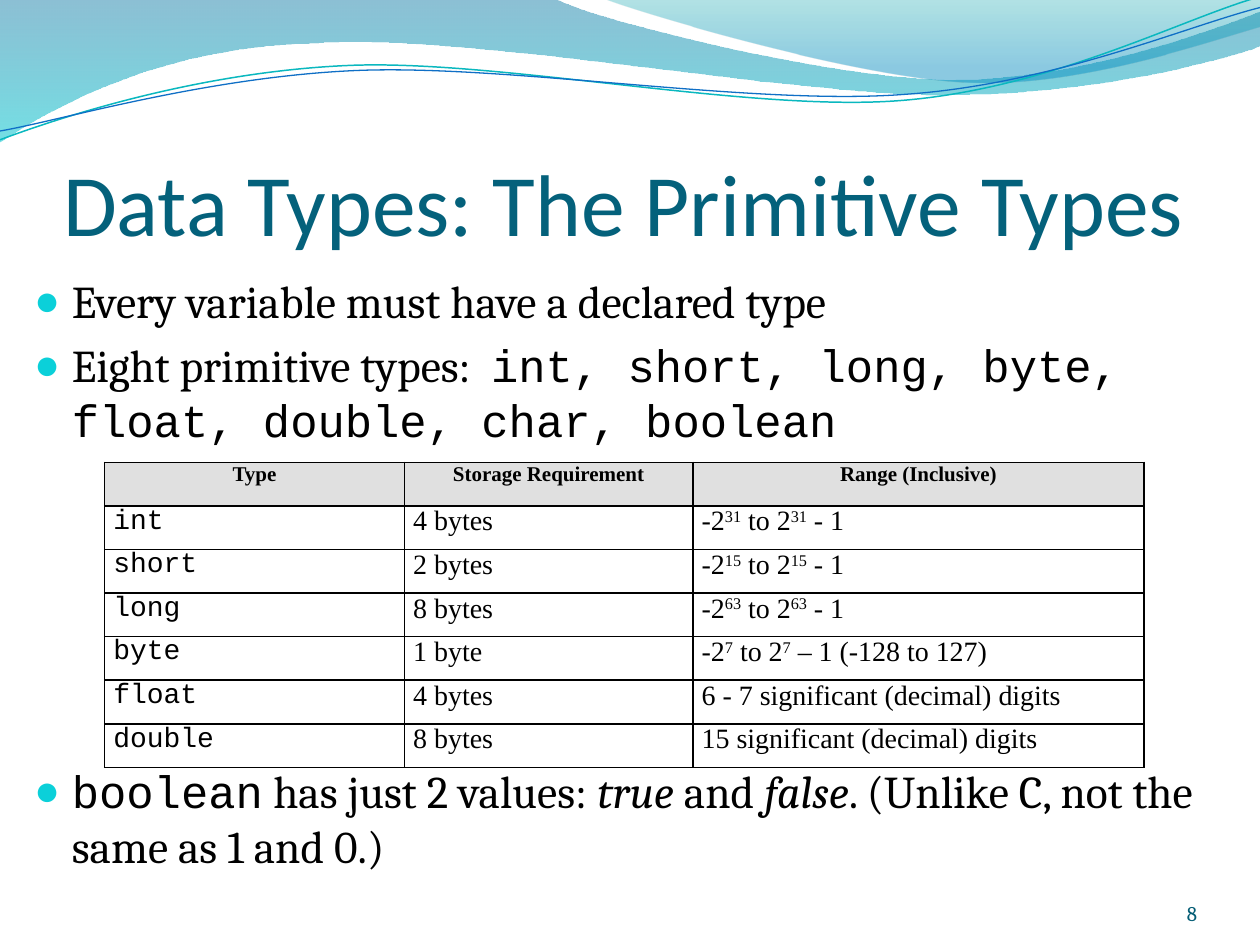
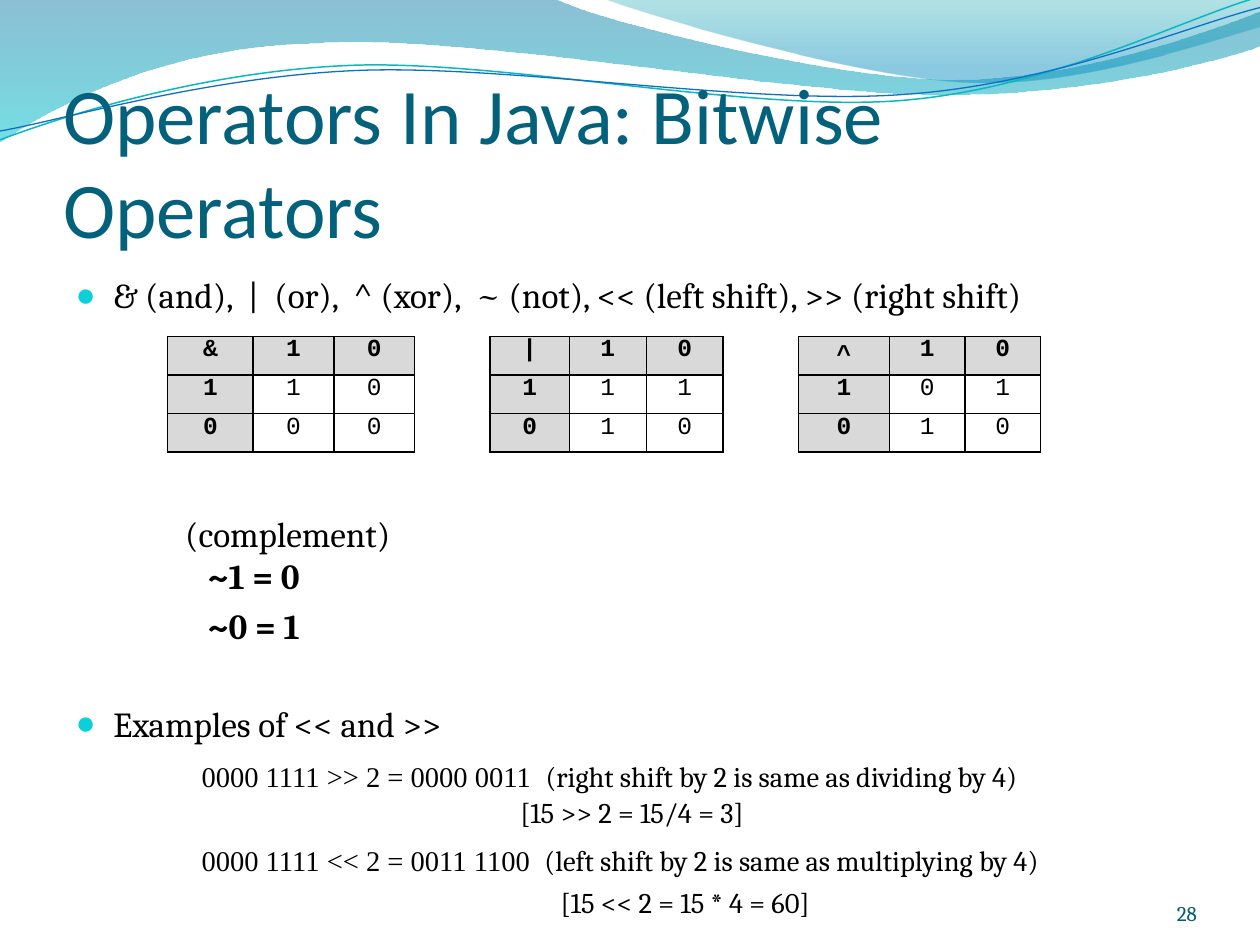
from pptx import Presentation
from pptx.dml.color import RGBColor
from pptx.enum.text import MSO_ANCHOR, MSO_AUTO_SIZE, PP_ALIGN
from pptx.oxml import parse_xml
from pptx.oxml.ns import nsdecls
from pptx.util import Inches, Pt

TOP, MIDDLE, BOTTOM = MSO_ANCHOR.TOP, MSO_ANCHOR.MIDDLE, MSO_ANCHOR.BOTTOM
LEFT, CENTER, RIGHT = PP_ALIGN.LEFT, PP_ALIGN.CENTER, PP_ALIGN.RIGHT
NO_FIT = MSO_AUTO_SIZE.NONE

# Shared colours and fonts
BLACK = RGBColor(0x00, 0x00, 0x00)
TITLE_BLUE = RGBColor(0x04, 0x61, 0x7B)
NUMBER_BLUE = RGBColor(0x04, 0x5D, 0x75)
BULLET_CYAN = RGBColor(0x0B, 0xD0, 0xD9)
LINE_TEAL = RGBColor(0x0A, 0xB8, 0xBF)
LINE_BLUE = RGBColor(0x0F, 0x6F, 0xC6)
HEAD_GREY = RGBColor(0xE0, 0xE0, 0xE0)
KEY_GREY = RGBColor(0xD9, 0xD9, 0xD9)
HEADING, BODY, MONO, SERIF = "Calibri", "Cambria", "Courier New", "Times New Roman"

# Waves: start point, then segments of one point (straight) or three (curve)
BANDS = [
    ((0, 0), [
        [(4.4, -0.01)],
        [(4.76, 0.17), (6.64, 0.63), (7.58, 0.63)],
        [(8.53, 0.63), (9.58, 0.26), (10, 0.09)],
        [(10.01, 0.36)],
        [(9.83, 0.44), (8.7, 0.76), (7.46, 0.75)],
        [(6.22, 0.75), (3.82, 0.28), (2.57, 0.34)],
        [(1.29, 0.36), (0.46, 0.83), (-0.01, 1.13)],
        [(0, 0)],
    ], [(0, "0074A1", 45), (100, "00C6CF", 55)]),
    ((4.79, -0.01), [
        [(5.09, 0.11), (6.82, 0.62), (7.69, 0.65)],
        [(8.56, 0.69), (9.61, 0.32), (10, 0.21)],
        [(10, 0)],
        [(4.79, -0.01)],
    ], [(0, "00A1A9", 30), (80, "008BBF", 45)]),
]
WAVE_LINES = [
    ((0, 1.11), [
        [(0.48, 0.93), (1.58, 0.57), (2.77, 0.52)],
        [(3.95, 0.47), (5.93, 0.89), (7.13, 0.8)],
        [(8.33, 0.71), (9.38, 0.15), (9.98, -0.02)],
    ], LINE_TEAL, 0.85),
    ((0, 1.04), [
        [(0.47, 0.96), (1.64, 0.61), (2.83, 0.56)],
        [(4.03, 0.51), (5.97, 0.84), (7.17, 0.75)],
        [(8.36, 0.67), (9.41, 0.21), (10, 0.06)],
    ], LINE_BLUE, 0.75),
]

# Body paragraphs: space before (pt), left indent (None = bullet), size, runs
# A run is text, font, optional style ("b" bold, "i" italic)
TYPES_BODY = [
    (5.2, None, 26, [("Every variable must have a declared type", BODY)]),
    (5.2, None, 26, [
        ("Eight primitive types:  ", BODY),
        ("int, short, long, byte, float, double, char, boolean", MONO)]),
    (181, None, 26, [
        ("boolean", MONO), (" has just 2 values: ", BODY), ("true", BODY, "i"),
        (" and ", BODY), ("false", BODY, "i"),
        (". (Unlike C, not the same as 1 and 0.)", BODY)]),
]
BITWISE_BODY = [
    (4, None, 20.1, [
        ("& (and),  |  (or),  ^ (xor),  ~ (not), << (left shift), >> (right shift)", BODY)]),
    (112.5, 0.87, 20.1, [("(complement)", BODY)]),
    (0, 1.05, 20.1, [("~1 = 0", BODY, "b")]),
    (4, 1.05, 20.1, [("~0 = 1", BODY, "b")]),
    (32, None, 20.1, [("Examples of << and >>", BODY)]),
    (8.5, 1, 16.3, [
        ("0000 1111 >> 2 = 0000 0011  ", SERIF),
        ("(right shift by 2 is same as dividing by 4)", BODY)]),
    (1, 3.53, 16.3, [("[15 >> 2 = 15/4 = 3]", BODY)]),
    (8, 1, 16.3, [
        ("0000 1111 << 2 = 0011 1100  ", SERIF),
        ("(left shift by 2 is same as multiplying by 4)", BODY)]),
    (4, 3.85, 16.3, [("[15 << 2 = 15 * 4 = 60]", BODY)]),
]

# Table of types: text between bars is raised
TYPES = [
    ("Type", "Storage Requirement", "Range (Inclusive)"),
    ("int", "4 bytes", "-2|31| to 2|31| - 1"),
    ("short", "2 bytes", "-2|15| to 2|15| - 1"),
    ("long", "8 bytes", "-2|63| to 2|63| - 1"),
    ("byte", "1 byte", "-2|7| to 2|7| – 1 (-128 to 127)"),
    ("float", "4 bytes", "6 - 7 significant (decimal) digits"),
    ("double", "8 bytes", "15 significant (decimal) digits"),
]
TYPE_COLS = [2.38, 2.29, 3.58]

# Truth tables: operator and its results for the inputs 1 and 0
OPERATORS = [("&", ["10", "00"]), ("|", ["11", "10"]), ("^", ["01", "10"])]
INPUTS = "10"
TRUTH_COLS = [0.68, 0.64, 0.64, 0.6, 0.63, 0.61, 0.61, 0.6, 0.72, 0.6, 0.6]


def add_run(p, text, font, size, color=BLACK, style="", raised=False):
    r = p.add_run()
    r.text = text
    r.font.name, r.font.size = font, Pt(size)
    r.font.bold, r.font.italic = "b" in style, "i" in style
    r.font.color.rgb = color
    if raised:
        r.font._element.set("baseline", "30000")


def wave(shapes, start, segments, closed):
    """Outline through the segment ends, whose curved parts become Béziers."""
    ends = [start] + [seg[-1] for seg in segments]
    units = [(round(x * 100), round(y * 100)) for x, y in ends]
    builder = shapes.build_freeform(*units[0], scale=Inches(0.01))
    builder.add_line_segments(units[1:], close=closed)
    sp = builder.convert_to_shape()
    left, top = min(x for x, y in units), min(y for x, y in units)
    for seg, line in zip(segments, sp._element.xpath(".//a:lnTo")):
        if len(seg) == 3:
            pts = "".join(f'<a:pt x="{round(x * 100) - left}" y="{round(y * 100) - top}"/>'
                          for x, y in seg)
            curve = parse_xml(f'<a:cubicBezTo {nsdecls("a")}>{pts}</a:cubicBezTo>')
            line.getparent().replace(line, curve)
    return sp


def add_waves(layout, shapes):
    """Build the waves, then move them to the layout that the slides share."""
    waves = []
    for start, segments, stops in BANDS:
        sp = wave(shapes, start, segments, True)
        gs = "".join(
            f'<a:gs pos="{pos * 1000}"><a:srgbClr val="{color}">'
            f'<a:alpha val="{alpha * 1000}"/></a:srgbClr></a:gs>'
            for pos, color, alpha in stops)
        sp._element.spPr.append(parse_xml(
            f'<a:gradFill {nsdecls("a")}><a:gsLst>{gs}</a:gsLst>'
            '<a:lin ang="5400000" scaled="0"/></a:gradFill>'))
        sp.line.fill.background()
        waves.append(sp)
    for start, segments, color, width in WAVE_LINES:
        sp = wave(shapes, start, segments, False)
        sp.fill.background()
        sp.line.color.rgb, sp.line.width = color, Pt(width)
        waves.append(sp)
    for i, sp in enumerate(waves):
        sp.shadow.inherit = False
        layout.shapes.element.insert(2 + i, sp._element)


def place(sp, left, top, width, height):
    sp.left, sp.top = Inches(left), Inches(top)
    sp.width, sp.height = Inches(width), Inches(height)


def set_frame(tf, anchor, left, top, right, bottom):
    tf.word_wrap, tf.auto_size, tf.vertical_anchor = True, NO_FIT, anchor
    tf.margin_left, tf.margin_top = Inches(left), Inches(top)
    tf.margin_right, tf.margin_bottom = Inches(right), Inches(bottom)


def set_indent(p, left):
    pPr = p._p.get_or_add_pPr()
    if left is None:
        marks = [f'<a:buClr {nsdecls("a")}><a:srgbClr val="{BULLET_CYAN}"/></a:buClr>',
                 f'<a:buSzPct {nsdecls("a")} val="95000"/>',
                 f'<a:buChar {nsdecls("a")} char="●"/>']
        left, first = 0.3, -0.3
    else:
        marks, first = [f'<a:buNone {nsdecls("a")}/>'], 0
    pPr.set("marL", str(Inches(left)))
    pPr.set("indent", str(Inches(first)))
    for mark in marks:
        pPr.append(parse_xml(mark))


def add_slide(prs, layout, title, title_size, body, body_box, number):
    s = prs.slides.add_slide(layout)
    # Title
    place(s.shapes.title, 0.5, 0.77, 9, 1.25)
    tf = s.shapes.title.text_frame
    set_frame(tf, BOTTOM, 0, 0.05, 0, 0)
    tf.paragraphs[0].alignment = LEFT
    add_run(tf.paragraphs[0], title, HEADING, title_size, TITLE_BLUE)
    # Body
    sp = s.placeholders[1]
    place(sp, *body_box)
    tf = sp.text_frame
    set_frame(tf, TOP, 0.1, 0.05, 0.1, 0.05)
    for i, (before, indent, size, runs) in enumerate(body):
        p = tf.add_paragraph() if i else tf.paragraphs[0]
        p.alignment, p.space_before = LEFT, Pt(before)
        set_indent(p, indent)
        for text, font, *style in runs:
            add_run(p, text, font, size, style="".join(style))
    # Slide number
    sp = s.shapes.add_textbox(Inches(8.67), Inches(6.95), Inches(0.83), Inches(0.4))
    set_frame(sp.text_frame, BOTTOM, 0, 0, 0, 0)
    p = sp.text_frame.paragraphs[0]
    p.alignment = RIGHT
    add_run(p, str(number), BODY, 12, NUMBER_BLUE)
    return s


def add_grid(s, left, top, cols, rows, height):
    frame = s.shapes.add_table(rows, len(cols), Inches(left), Inches(top),
                               Inches(sum(cols)), Inches(height))
    table = frame.table
    table.first_row = table.horz_banding = False
    for col, width in zip(table.columns, cols):
        col.width = Inches(width)
    for row in table.rows:
        row.height = Inches(height / rows)
    return table


def format_cell(cell, fill=None, sides="LRTB"):
    cell.margin_left = cell.margin_right = Inches(0.07)
    cell.margin_top = cell.margin_bottom = 0
    tcPr = cell._tc.get_or_add_tcPr()
    for side in "LRTB":
        paint = f'<a:solidFill><a:srgbClr val="{BLACK}"/></a:solidFill>'
        if side not in sides:
            paint = "<a:noFill/>"
        tcPr.append(parse_xml(f'<a:ln{side} {nsdecls("a")} w="12700">{paint}</a:ln{side}>'))
    if fill is None:
        cell.fill.background()
    else:
        cell.fill.solid()
        cell.fill.fore_color.rgb = fill


prs = Presentation()
prs.slide_width, prs.slide_height = Inches(10), Inches(7.5)
layout = prs.slide_layouts[1]

# Primitive types
s = add_slide(prs, layout, "Data Types: The Primitive Types", 50,
              TYPES_BODY, (0.17, 2.12, 9.83, 5.13), 8)
add_waves(layout, s.shapes)
table = add_grid(s, 0.83, 3.67, TYPE_COLS, len(TYPES), 2.42)
for i, row in enumerate(TYPES):
    for j, text in enumerate(row):
        cell = table.cell(i, j)
        format_cell(cell, None if i else HEAD_GREY)
        p = cell.text_frame.paragraphs[0]
        p.alignment = LEFT if i else CENTER
        font = MONO if i and j == 0 else SERIF
        for k, part in enumerate(text.split("|")):
            add_run(p, part, font, 16 if i else 12,
                    style="" if i else "b", raised=k % 2 == 1)

# Bitwise operators: three truth tables with open columns between them
s = add_slide(prs, layout, "Operators In Java: Bitwise Operators", 45,
              BITWISE_BODY, (0.5, 2.12, 9, 4.8), 28)
table = add_grid(s, 1.33, 2.67, TRUTH_COLS, 3, 0.92)
for n, (operator, results) in enumerate(OPERATORS):
    grid = [operator + INPUTS] + [a + result for a, result in zip(INPUTS, results)]
    for i, row in enumerate(grid):
        for j, text in enumerate(row):
            cell = table.cell(i, 4 * n + j)
            key = i == 0 or j == 0
            format_cell(cell, KEY_GREY if key else None)
            if text == "^":
                cell.vertical_anchor = MIDDLE
            p = cell.text_frame.paragraphs[0]
            p.alignment = CENTER
            add_run(p, text, MONO, 14, style="b" if key else "")
        if n:
            format_cell(table.cell(i, 4 * n - 1), sides="LR")

prs.save("out.pptx")
